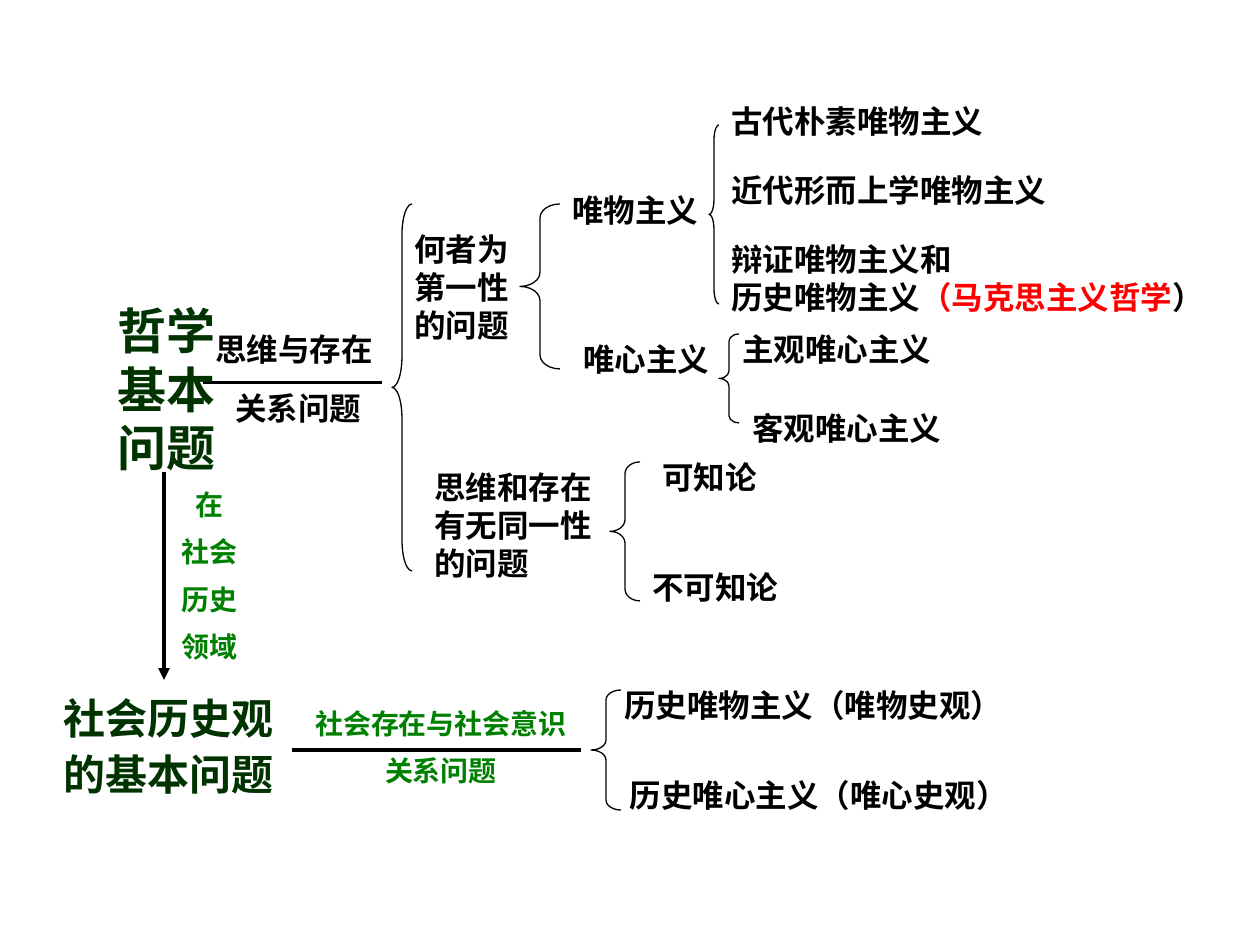
from pptx import Presentation
from pptx.dml.color import RGBColor
from pptx.enum.shapes import MSO_CONNECTOR as Connector, MSO_SHAPE as Shape
from pptx.enum.text import MSO_AUTO_SIZE as AutoSize, PP_ALIGN as Align
from pptx.oxml.ns import qn
from pptx.util import Pt
from lxml.etree import SubElement

SCALE = 914400 / 126  # EMU per px
BLACK, GREEN, DARK_GREEN, RED = "000000", "008000", "003300", "FF0000"


def px(*lengths):
    return [round(length * SCALE) for length in lengths]


def color(value):
    return RGBColor.from_string(value)


deck = Presentation()
deck.slide_width, deck.slide_height = px(1260, 945)
page = deck.slides.add_slide(deck.slide_layouts[6])

# Braces: left, top, width, height, curvature
braces = [
    (392, 204, 20, 367, 1.54),
    (520, 204, 40, 165, 0.35),
    (709, 125, 10, 179, 1.48),
    (719, 334, 20, 89, 0.37),
    (610, 462, 30, 139, 0.39),
    (591, 690, 30, 120, 0.33),
]
for left, top, width, height, curve in braces:
    brace = page.shapes.add_shape(Shape.LEFT_BRACE, *px(left, top, width, height))
    brace.adjustments[0] = curve
    brace.shadow.inherit = False
    brace.fill.background()
    brace.line.color.rgb = color(BLACK)
    brace.line.width = Pt(0.75)

# Lines: start, end, weight, arrowhead
lines = [
    (203, 383, 382, 383, 1.75, False),
    (164, 472, 164, 680, 2.25, True),
    (292, 750, 581, 750, 1.75, False),
]
for x1, y1, x2, y2, weight, arrow in lines:
    line = page.shapes.add_connector(Connector.STRAIGHT, *px(x1, y1, x2, y2))
    line.line.color.rgb = color(BLACK)
    line.line.width = Pt(weight)
    if arrow:
        SubElement(line.line._get_or_add_ln(), qn("a:tailEnd"), type="triangle")
    SubElement(line._element.spPr, qn("a:effectLst"))

# Texts: left, top, width, height, wrap, size, colour, centred, line spacing, wording
texts = [
    # Main question
    (105, 294, 123, 189, False, 28, DARK_GREEN, False, None, "哲学\n基本\n问题"),
    (203, 324, 218, 50, True, 18, BLACK, False, None, "思维与存在"),
    (223, 383, 179, 50, True, 18, BLACK, False, None, "关系问题"),
    # Two aspects
    (402, 224, 228, 126, True, 18, BLACK, False, None, "何者为\n第一性\n的问题"),
    (422, 462, 208, 126, True, 18, BLACK, False, None, "思维和存在有无同一性的问题"),
    # Schools
    (560, 185, 152, 50, False, 18, BLACK, False, None, "唯物主义"),
    (571, 334, 179, 50, True, 18, BLACK, False, None, "唯心主义"),
    (650, 452, 140, 50, True, 18, BLACK, False, None, "可知论"),
    (640, 562, 169, 50, True, 18, BLACK, False, None, "不可知论"),
    # Forms of each school
    (719, 96, 280, 50, False, 18, BLACK, False, None, "古代朴素唯物主义"),
    (719, 165, 343, 50, False, 18, BLACK, False, None, "近代形而上学唯物主义"),
    (719, 234, 501, 88, False, 18, BLACK, False, None,
     "辩证唯物主义和\n历史唯物主义|（马克思主义哲学|）"),
    (730, 324, 215, 50, False, 18, BLACK, False, None, "主观唯心主义"),
    (740, 403, 215, 50, False, 18, BLACK, False, None, "客观唯心主义"),
    # Social history
    (105, 481, 208, 200, True, 16, GREEN, True, None, "在\n社会\n历史\n领域"),
    (0, 700, 338, 108, True, 24, DARK_GREEN, True, 0.7, "社会历史观\n的基本问题"),
    (282, 700, 318, 97, True, 16, GREEN, True, None, "社会存在与社会意识\n关系问题"),
    (600, 680, 427, 50, True, 18, BLACK, True, None, "历史唯物主义（唯物史观）"),
    (600, 770, 437, 50, True, 18, BLACK, True, None, "历史唯心主义（唯心史观）"),
]
for left, top, width, height, wrap, size, ink, centred, spacing, wording in texts:
    box = page.shapes.add_textbox(*px(left, top, width, height))
    frame = box.text_frame
    frame.word_wrap = wrap
    frame.auto_size = AutoSize.SHAPE_TO_FIT_TEXT
    for row, content in enumerate(wording.split("\n")):
        para = frame.add_paragraph() if row else frame.paragraphs[0]
        para.alignment = Align.CENTER if centred else Align.LEFT
        if spacing:
            para.line_spacing = spacing
        if centred and row:
            para.space_before = Pt(size / 2)
        para.font.name = "Arial"
        para.font.size = Pt(size)
        para.font.bold = True
        para.font.color.rgb = color(ink)
        # Every second part between bars is highlighted
        for part, words in enumerate(content.split("|")):
            span = para.add_run()
            span.text = words
            if part % 2:
                span.font.color.rgb = color(RED)

deck.save("out.pptx")
